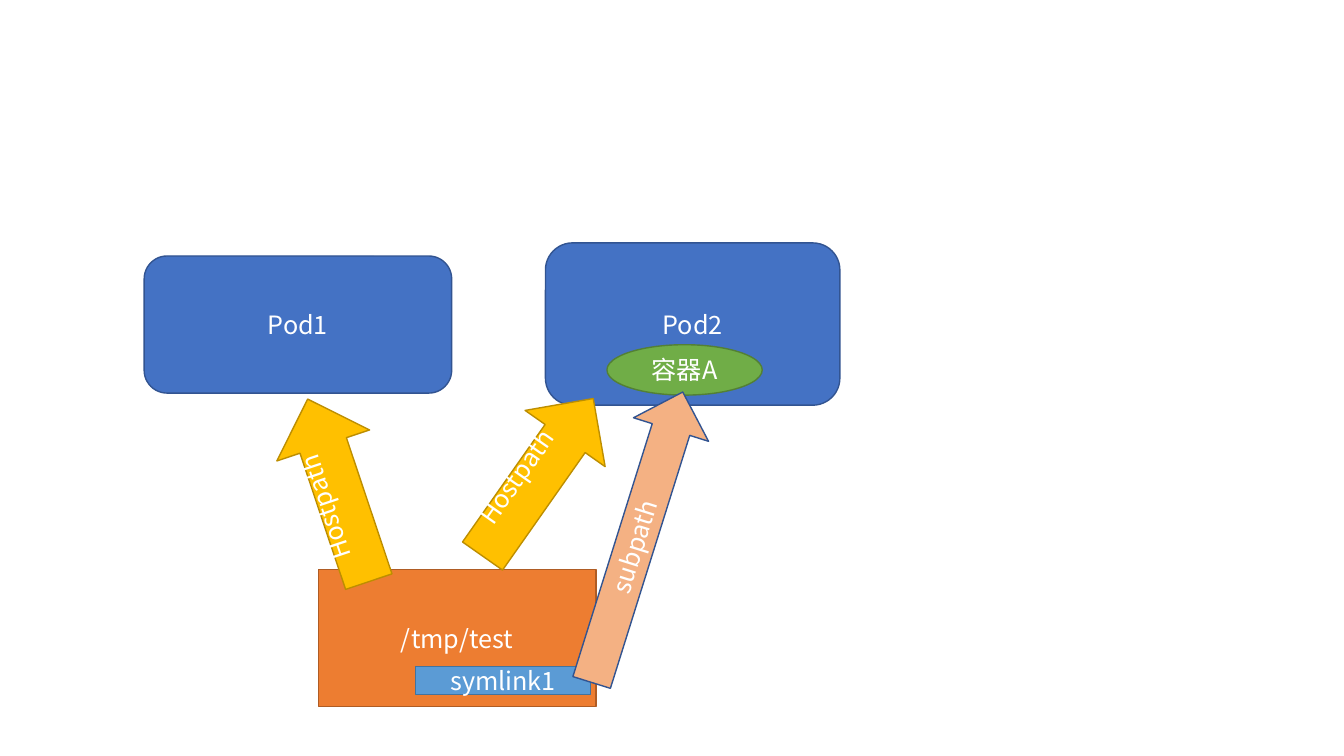
import pptx
import pptx.util
import pptx.dml.color
import pptx.enum.shapes
import pptx.enum.text
import pptx.oxml.ns
from lxml import etree

Inches = pptx.util.Inches
Pt = pptx.util.Pt
SHAPE = pptx.enum.shapes.MSO_SHAPE
FONT = "Noto Sans CJK SC"
COLOURS = {
    "pod": "4472C4", "pod line": "325491",
    "folder": "ED7D31", "folder line": "AF5C24",
    "symlink": "5B9BD5", "symlink line": "43739E",
    "hostpath": "FFC000", "hostpath line": "BD8E00",
    "container": "70AD47", "container line": "538035",
    "subpath": "F4B183", "subpath line": "325491",
    "text": "FFFFFF",
}


def colour(name):
    return pptx.dml.color.RGBColor.from_string(COLOURS[name])


def add_node(page, kind, role, label, left, top, width, height):
    """Add a filled, outlined shape with a centred label."""
    node = page.shapes.add_shape(
        kind, Inches(left), Inches(top), Inches(width), Inches(height))
    node.shadow.inherit = False
    node.fill.solid()
    node.fill.fore_color.rgb = colour(role)
    node.line.color.rgb = colour(role + " line")
    node.line.width = Pt(1)

    frame = node.text_frame
    frame.word_wrap = True
    frame.vertical_anchor = pptx.enum.text.MSO_ANCHOR.MIDDLE
    para = frame.paragraphs[0]
    para.text = label
    para.alignment = pptx.enum.text.PP_ALIGN.CENTER
    para.font.size = Pt(18)
    para.font.name = FONT
    para.font.color.rgb = colour("text")
    # Chinese characters take their font from the East Asian setting.
    latin = para.font._element.find(pptx.oxml.ns.qn("a:latin"))
    east_asian = etree.Element(pptx.oxml.ns.qn("a:ea"), typeface=FONT)
    latin.addnext(east_asian)
    return node


def add_arrow(page, role, label, left, top, width, height, angle):
    arrow = add_node(page, SHAPE.RIGHT_ARROW, role, label,
                     left, top, width, height)
    arrow.rotation = angle
    return arrow


def main():
    deck = pptx.Presentation()
    deck.slide_width = Inches(13.33)
    deck.slide_height = Inches(7.5)
    page = deck.slides.add_slide(deck.slide_layouts[6])

    add_node(page, SHAPE.ROUNDED_RECTANGLE, "pod", "Pod1", 1.43, 2.54, 3.05, 1.36)
    add_node(page, SHAPE.ROUNDED_RECTANGLE, "pod", "Pod2", 5.41, 2.41, 2.92, 1.61)
    add_node(page, SHAPE.RECTANGLE, "folder", "/tmp/test", 3.16, 5.65, 2.75, 1.36)
    add_node(page, SHAPE.RECTANGLE, "symlink", "symlink1", 4.12, 6.61, 1.74, 0.28)

    for left, top, angle in ((2.4, 4.38, 251.5), (4.38, 4.25, 305.1)):
        arrow = add_arrow(page, "hostpath", "Hostpath", left, top, 1.91, 0.97, angle)
        # The label sits near the upper edge of the shaft.
        arrow.text_frame.margin_bottom = Inches(0.41)

    add_node(page, SHAPE.OVAL, "container", "容器A", 6.02, 3.42, 1.54, 0.5)
    add_arrow(page, "subpath", "subpath", 4.81, 4.94, 3.02, 0.78, 287.4)
    deck.save("out.pptx")


if __name__ == "__main__":
    main()
